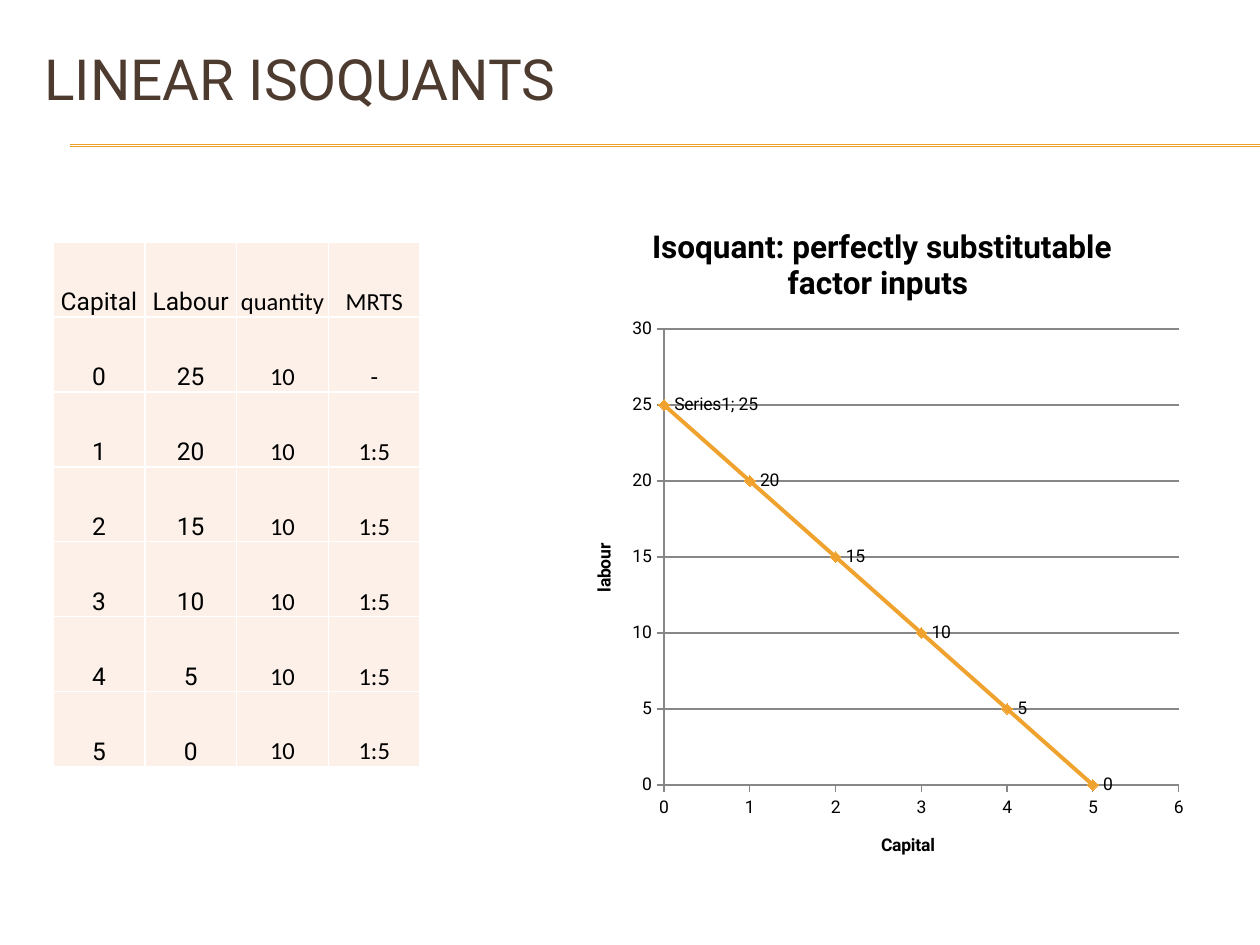
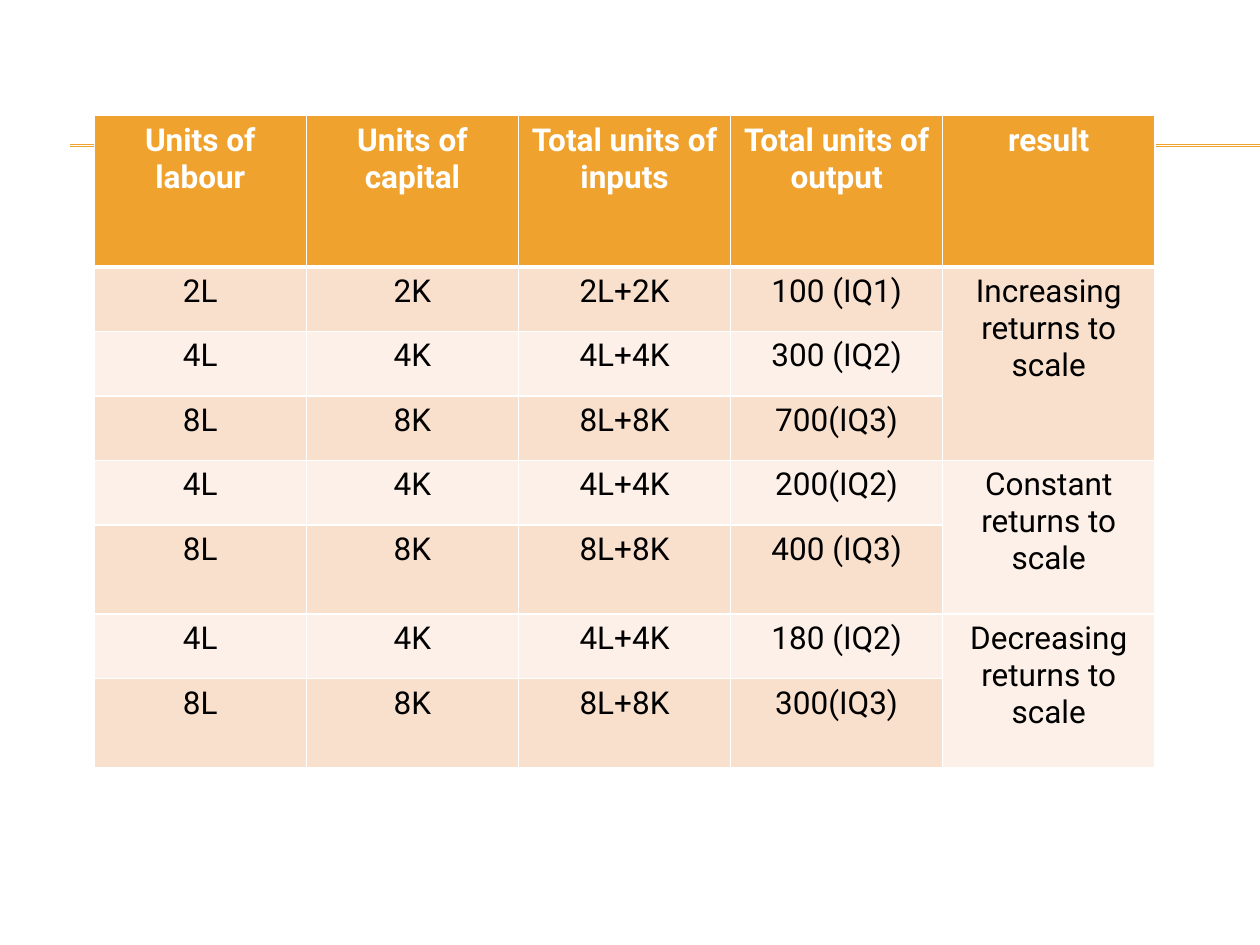
import pptx
import pptx.chart.data
import pptx.dml.color
import pptx.enum.chart
import pptx.enum.shapes
import pptx.enum.text
import pptx.oxml
import pptx.oxml.ns
import pptx.util
from lxml import etree

Cm, Pt, qn = pptx.util.Cm, pptx.util.Pt, pptx.oxml.ns.qn
COLORS = {"accent": "F0A22E", "title": "4E3B30", "band": "F9E0CD", "pale": "FCF0E8",
          "grid": "878787", "text": "000000", "white": "FFFFFF"}
FONT, NUMBER_FONT = "Roboto", "Calibri"

TITLE = "LINEAR ISOQUANTS"
CAPITAL = [0, 1, 2, 3, 4, 5]
LABOUR = [25, 20, 15, 10, 5, 0]
QUANTITY = 10
MRTS = ["-"] + ["1:5"] * 5
ISOQUANT_HEADER = ["Capital", "Labour", "quantity", "MRTS"]
CHART_TITLE = "Isoquant: perfectly substitutable factor inputs "
PLOT_AREA = {"x": 0.154, "y": 0.19, "w": 0.817, "h": 0.668}

SCALE_HEADER = ["Units of labour", "Units of capital", "Total units of inputs",
                "Total units of output", "result"]
RETURNS = [
    ("Increasing returns to scale", [(2, "100 (IQ1)"), (4, "300 (IQ2)"), (8, "700(IQ3)")]),
    ("Constant returns to scale", [(4, "200(IQ2)"), (8, "400 (IQ3)")]),
    ("Decreasing returns to scale", [(4, "180 (IQ2)"), (8, "300(IQ3)")]),
]
SCALE_HEIGHTS = [3.05, 1.3, 1.3, 1.3, 1.3, 1.8, 1.3, 1.8]


def rgb(name):
    return pptx.dml.color.RGBColor.from_string(COLORS[name])


def set_font(font, size, color="text", bold=False, name=FONT):
    font.size, font.bold, font.name = Pt(size), bold, name
    font.color.rgb = rgb(color)


def add_slide(prs, layout):
    s = prs.slides.add_slide(prs.slide_layouts[layout])
    for y in (2.92, 2.95):
        rule = s.shapes.add_connector(pptx.enum.shapes.MSO_CONNECTOR.STRAIGHT,
                                      Cm(1.42), Cm(y), prs.slide_width, Cm(y))
        rule.line.color.rgb = rgb("accent")
        rule.line.width = Pt(0.75)
        etree.SubElement(rule._element.spPr, qn("a:effectLst"))
    return s


def set_borders(cell, bottom):
    tcPr = cell._tc.get_or_add_tcPr()
    for i, (side, width) in enumerate({"L": 1, "R": 1, "T": 1, "B": bottom}.items()):
        ln = etree.Element(qn(f"a:ln{side}"), w=str(Pt(width)))
        fill = etree.SubElement(ln, qn("a:solidFill"))
        etree.SubElement(fill, qn("a:srgbClr"), val=COLORS["white"])
        tcPr.insert(i, ln)


def add_grid(s, left, top, width, heights, rows):
    n_cols = len(rows[0])
    table = s.shapes.add_table(len(rows), n_cols, Cm(left), Cm(top),
                               Cm(width), Cm(sum(heights))).table
    table.first_row = table.horz_banding = False
    for col in table.columns:
        col.width = Cm(width / n_cols)
    for row, height, texts in zip(table.rows, heights, rows):
        row.height = Cm(height)
        for cell, text in zip(row.cells, texts):
            cell.text = str(text)
            cell.text_frame.paragraphs[0].alignment = pptx.enum.text.PP_ALIGN.CENTER
    return table


def style_cell(cell, fill, size, color="text", bold=False, name=FONT, bottom=1):
    cell.fill.solid()
    cell.fill.fore_color.rgb = rgb(fill)
    set_borders(cell, bottom)
    set_font(cell.text_frame.paragraphs[0].font, size, color, bold, name)


def add_isoquant_table(s):
    rows = [ISOQUANT_HEADER] + [[k, l, QUANTITY, m] for k, l, m in zip(CAPITAL, LABOUR, MRTS)]
    table = add_grid(s, 1.07, 4.88, 7.4, [1.51] * len(rows), rows)
    for row in table.rows:
        for c, cell in enumerate(row.cells):
            style_cell(cell, "pale", 14, name=FONT if c < 2 else NUMBER_FONT)
            cell.vertical_anchor = pptx.enum.text.MSO_ANCHOR.BOTTOM
            cell.margin_left = cell.margin_right = cell.margin_top = Cm(0.03)
            cell.margin_bottom = 0


def add_text_title(owner, text, size):
    tf = owner.text_frame
    tf.text = text
    set_font(tf.paragraphs[0].font, size, bold=True)


def add_isoquant_chart(s):
    data = pptx.chart.data.XyChartData()
    points = data.add_series("Series1")
    for k, l in zip(CAPITAL, LABOUR):
        points.add_data_point(k, l)
    chart = s.shapes.add_chart(pptx.enum.chart.XL_CHART_TYPE.XY_SCATTER_SMOOTH, Cm(11.43),
                               Cm(4.02), Cm(12.7), Cm(13.76), data).chart
    set_font(chart.font, 10)
    chart.has_legend = False
    chart.plots[0].vary_by_categories = False
    add_text_title(chart.chart_title, CHART_TITLE, 18)
    for axis, title, top, step in ((chart.category_axis, "Capital", 6, 1),
                                   (chart.value_axis, "labour", 30, 5)):
        add_text_title(axis.axis_title, title, 10)
        axis.minimum_scale, axis.maximum_scale, axis.major_unit = 0, top, step
        axis.major_tick_mark = pptx.enum.chart.XL_TICK_MARK.OUTSIDE
        axis.format.line.color.rgb = rgb("grid")
        axis.has_major_gridlines = False
    gridlines = chart.value_axis
    gridlines.has_major_gridlines = True
    gridlines.major_gridlines.format.line.color.rgb = rgb("grid")

    area = chart._chartSpace.chart.plotArea
    for old in area.findall(qn("c:layout")):
        area.remove(old)
    layout = etree.Element(qn("c:layout"))
    manual = etree.SubElement(layout, qn("c:manualLayout"))
    etree.SubElement(manual, qn("c:layoutTarget"), val="inner")
    for tag in ("xMode", "yMode"):
        etree.SubElement(manual, qn(f"c:{tag}"), val="edge")
    for tag, share in PLOT_AREA.items():
        etree.SubElement(manual, qn(f"c:{tag}"), val=str(share))
    area.insert(0, layout)

    series = chart.plots[0].series[0]
    series.format.line.color.rgb = rgb("accent")
    series.format.line.width = Pt(2.25)
    series.marker.style = pptx.enum.chart.XL_MARKER_STYLE.DIAMOND
    series.marker.size = 6
    series.marker.format.fill.solid()
    series.marker.format.fill.fore_color.rgb = rgb("accent")
    series.marker.format.line.color.rgb = rgb("accent")
    for i in range(len(CAPITAL)):
        series.points[i].data_label.position = pptx.enum.chart.XL_LABEL_POSITION.RIGHT
    first = series._element.find(f".//{qn('c:dLbl')}")
    first.find(qn("c:showSerName")).set("val", "1")
    etree.SubElement(first, qn("c:separator")).text = "; "


def add_scale_table(s):
    rows, spans = [SCALE_HEADER], []
    for result, steps in RETURNS:
        spans.append((len(rows), len(rows) + len(steps) - 1))
        for i, (n, output) in enumerate(steps):
            rows.append([f"{n}L", f"{n}K", f"{n}L+{n}K", output, "" if i else result])
    table = add_grid(s, 1.9, 2.33, 21.38, SCALE_HEIGHTS, rows)
    for r, row in enumerate(table.rows):
        for cell in row.cells:
            if r == 0:
                style_cell(cell, "accent", 18, "white", True, bottom=3)
            else:
                style_cell(cell, "band" if r % 2 else "pale", 18)
    last = len(SCALE_HEADER) - 1
    for start, end in spans:
        table.cell(start, last).merge(table.cell(end, last))


def main():
    prs = pptx.Presentation()
    prs.slide_width, prs.slide_height = Cm(25.4), Cm(19.05)

    s = add_slide(prs, 5)
    title = s.shapes.title
    title.left, title.top, title.width, title.height = Cm(0.64), Cm(0.84), Cm(24.13), Cm(1.47)
    tf = title.text_frame
    tf.text = TITLE
    tf.vertical_anchor = pptx.enum.text.MSO_ANCHOR.MIDDLE
    p = tf.paragraphs[0]
    p.alignment = pptx.enum.text.PP_ALIGN.LEFT
    set_font(p.font, 32.4, "title")
    add_isoquant_table(s)
    add_isoquant_chart(s)

    add_scale_table(add_slide(prs, 6))
    prs.save("out.pptx")


if __name__ == "__main__":
    main()
